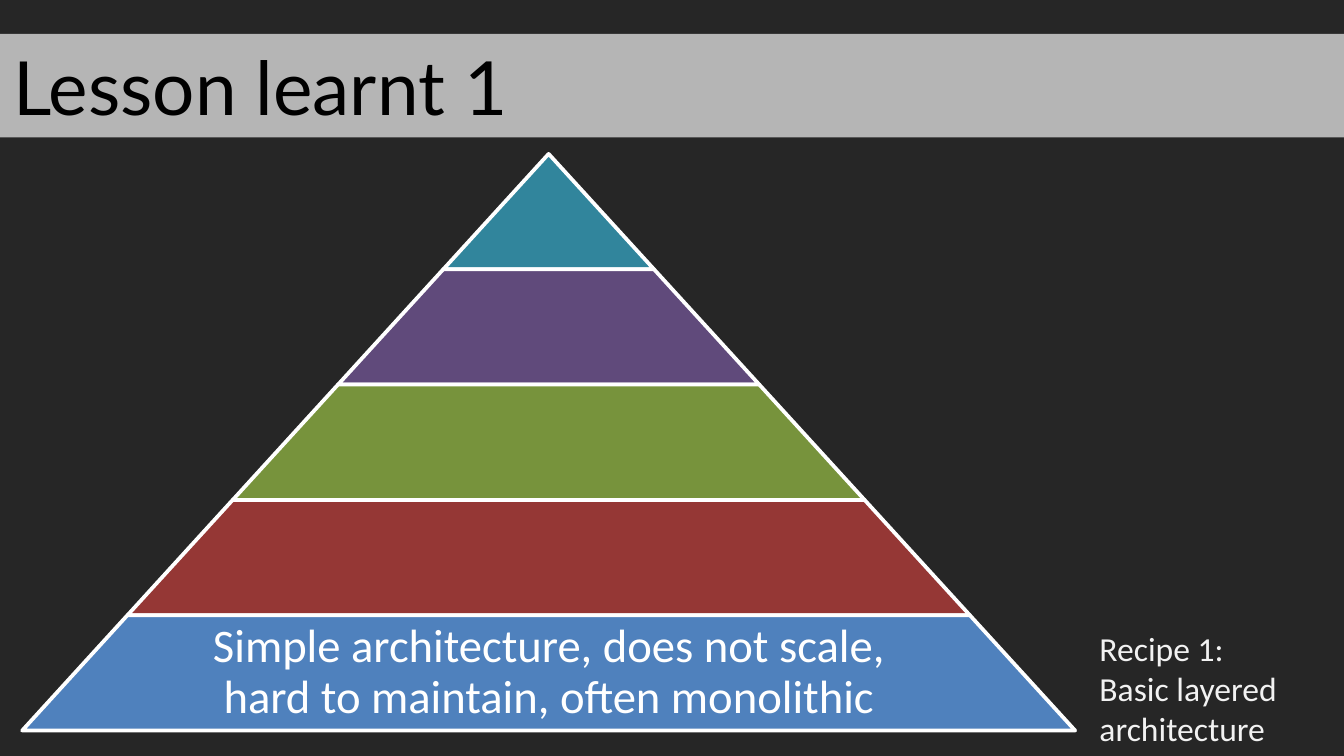
from lxml import etree
from pptx import Presentation
from pptx.dml.color import RGBColor
from pptx.enum.shapes import MSO_SHAPE
from pptx.enum.text import MSO_ANCHOR, MSO_AUTO_SIZE, PP_ALIGN
from pptx.oxml.ns import qn
from pptx.util import Cm, Pt

TRAPEZOID = MSO_SHAPE.TRAPEZOID
TOP, MIDDLE = MSO_ANCHOR.TOP, MSO_ANCHOR.MIDDLE
LEFT, CENTER = PP_ALIGN.LEFT, PP_ALIGN.CENTER
NO_FIT = MSO_AUTO_SIZE.NONE

DARK = RGBColor(0x26, 0x26, 0x26)
BAND = RGBColor(0xD9, 0xD9, 0xD9)
BLACK = RGBColor(0x00, 0x00, 0x00)
WHITE = RGBColor(0xFF, 0xFF, 0xFF)
OFF_WHITE = RGBColor(0xF2, 0xF2, 0xF2)
TEAL = RGBColor(0x31, 0x85, 0x9C)
PURPLE = RGBColor(0x60, 0x4A, 0x7B)
GREEN = RGBColor(0x77, 0x93, 0x3C)
RED = RGBColor(0x95, 0x37, 0x35)
BLUE = RGBColor(0x4F, 0x81, 0xBD)


class Deck:
    title_font, body_font = "Lato", "Calibri"

    def __init__(self, width, height):
        self.prs = Presentation()
        self.prs.slide_width, self.prs.slide_height = Cm(width), Cm(height)

    def slide(self, color):
        self.s = self.prs.slides.add_slide(self.prs.slide_layouts[5])
        fill = self.s.background.fill
        fill.solid()
        fill.fore_color.rgb = color

    def add_lines(self, tf, lines, font, size, color, align=LEFT):
        for i, line in enumerate(lines):
            p = tf.add_paragraph() if i else tf.paragraphs[0]
            p.alignment = align
            r = p.add_run()
            r.text = line
            r.font.name, r.font.size = font, Pt(size)
            r.font.color.rgb = color

    def title(self, text, x, y, w, h):
        sp = self.s.shapes.title
        sp.left, sp.top, sp.width, sp.height = Cm(x), Cm(y), Cm(w), Cm(h)
        sp.fill.solid()
        sp.fill.fore_color.rgb = BAND
        # Let the background show through the band
        clr = sp.element.spPr.find(qn("a:solidFill"))[0]
        etree.SubElement(clr, qn("a:alpha")).set("val", "80000")
        tf = sp.text_frame
        tf.auto_size, tf.vertical_anchor = NO_FIT, TOP
        self.add_lines(tf, [text], self.title_font, 40, BLACK)

    def text(self, shapes, lines, x, y, w, h, size, color, align=LEFT,
             anchor=TOP, inset=None, spacing=None, wrap=True):
        tf = shapes.add_textbox(Cm(x), Cm(y), Cm(w), Cm(h)).text_frame
        tf.word_wrap, tf.vertical_anchor = wrap, anchor
        if inset is not None:
            tf.margin_left = tf.margin_right = Cm(inset)
            tf.margin_top = tf.margin_bottom = Cm(inset)
        self.add_lines(tf, lines, self.body_font, size, color, align)
        if spacing:
            for p in tf.paragraphs:
                p.line_spacing = spacing

    def pyramid(self, colors, label, center, top, step, level_h):
        shapes = self.s.shapes.add_group_shape().shapes
        for i, color in enumerate(colors):
            half, y = step * (i + 1), top + level_h * i
            sp = shapes.add_shape(TRAPEZOID, Cm(center - half), Cm(y),
                                  Cm(2 * half), Cm(level_h))
            sp.adjustments[0] = step / level_h
            sp.shadow.inherit = False
            sp.fill.solid()
            sp.fill.fore_color.rgb = color
            sp.line.color.rgb, sp.line.width = WHITE, Pt(2)
        # Label inside the bottom level
        w = 2 * half * 0.65
        self.text(shapes, [label], center - w / 2, y, w, level_h, 25, WHITE,
                  CENTER, MIDDLE, inset=0.08, spacing=0.9)


def main():
    d = Deck(25.4, 14.29)
    d.slide(DARK)

    # Title band
    d.title("Lesson learnt 1", 0, 0.64, 25.4, 1.96)

    # Pyramid
    d.pyramid([TEAL, PURPLE, GREEN, RED, BLUE],
              "Simple architecture, does not scale, "
              "hard to maintain, often monolithic",
              center=10.37, top=2.91, step=1.99, level_h=2.18)

    # Recipe note
    d.text(d.s.shapes, ["Recipe 1:", "Basic layered", "architecture"],
           20.53, 11.74, 3.94, 2.56, 18, OFF_WHITE, wrap=False)

    d.prs.save("out.pptx")


if __name__ == "__main__":
    main()
